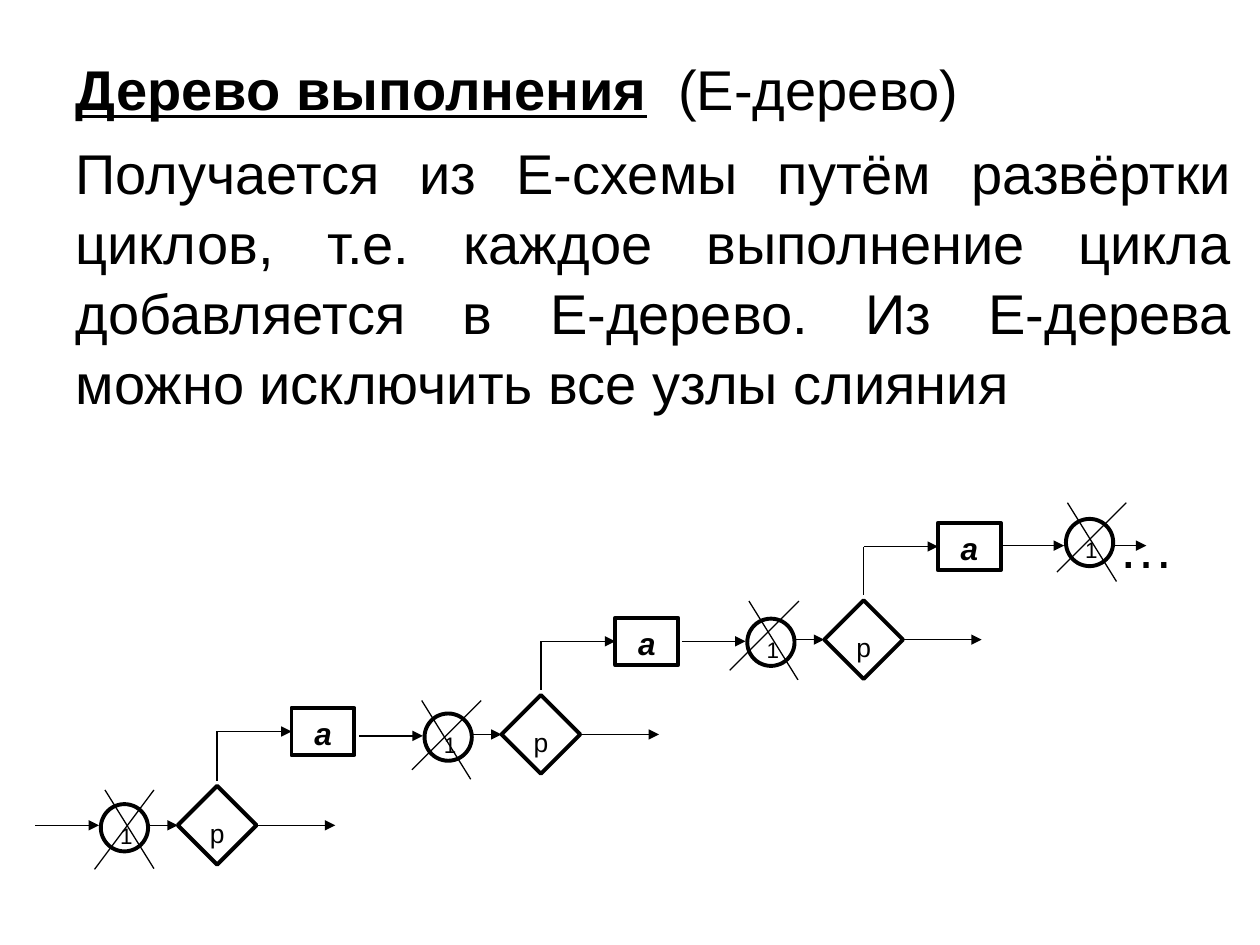
from dataclasses import dataclass

from lxml import etree
from pptx import Presentation
from pptx.dml.color import RGBColor
from pptx.enum import shapes, text
from pptx.oxml.ns import qn
from pptx.util import Pt

BLACK = RGBColor(0, 0, 0)
WHITE = RGBColor(255, 255, 255)
FONT = "Arial"

CIRCLE = 27
DIAMOND = 45
BOX_WIDTH, BOX_HEIGHT = 36, 27
DIAMOND_OFFSET = 44
BOX_OFFSET = 109


@dataclass
class NodeStyle:
    preset: shapes.MSO_SHAPE
    width: float
    height: float
    label: str
    size: float
    raised: bool = True
    emphasis: bool = False


@dataclass
class Merge:
    """A crossed-out merge node; the cross is given by its two strokes."""
    left: float
    axis: float
    middle: float
    cross_top: float
    falling_left: float
    rising_left: float
    rising_width: float = 39.6
    rising_height: float = 39.6


@dataclass
class Branch:
    """A condition with its exit and the action above it."""
    middle: float
    action_middle: float


MERGE_NODE = NodeStyle(shapes.MSO_SHAPE.FLOWCHART_CONNECTOR, CIRCLE, CIRCLE, "1", 22)
CONDITION_NODE = NodeStyle(shapes.MSO_SHAPE.FLOWCHART_DECISION, DIAMOND, DIAMOND, "p", 26)
ACTION_NODE = NodeStyle(shapes.MSO_SHAPE.RECTANGLE, BOX_WIDTH, BOX_HEIGHT, "а", 18,
                        raised=False, emphasis=True)

MERGES = [
    Merge(57.6, 471.6, 473, 451.4, 60, 54, 34, 45.4),
    Merge(242.6, 420.5, 421.2, 400.3, 241, 235.4),
    Merge(427, 366.5, 367, 343.5, 428, 417),
    Merge(609.1, 311.8, 310, 287.3, 610, 604),
]
BRANCHES = [Branch(471.6, 418), Branch(419.7, 366.5), Branch(365.5, 312.3)]


def add_node(page, style: NodeStyle, left: float, middle: float):
    node = page.shapes.add_shape(style.preset, Pt(left), Pt(middle - style.height / 2),
                                 Pt(style.width), Pt(style.height))
    node.shadow.inherit = False
    node.fill.solid()
    node.fill.fore_color.rgb = WHITE
    node.line.color.rgb = BLACK
    node.line.width = Pt(2.25)
    node.text_frame.vertical_anchor = text.MSO_ANCHOR.TOP
    para = node.text_frame.paragraphs[0]
    para.text = style.label
    para.alignment = text.PP_ALIGN.CENTER
    set_font(para, style.size)
    para.font.bold = para.font.italic = style.emphasis
    if style.raised:
        para._p.pPr.find(qn("a:defRPr")).set("baseline", "30000")
    return node


def add_line(page, x1: float, y1: float, x2: float, y2: float, arrow: bool = False):
    line = page.shapes.add_connector(shapes.MSO_CONNECTOR.STRAIGHT,
                                     Pt(x1), Pt(y1), Pt(x2), Pt(y2))
    line.line.color.rgb = BLACK
    line.line.width = Pt(0.75)
    if arrow:
        etree.SubElement(line.line._get_or_add_ln(), qn("a:tailEnd"), type="triangle")
    etree.SubElement(line._element.spPr, qn("a:effectLst"))
    return line


def add_merge(page, merge: Merge) -> None:
    add_line(page, merge.left - 37.4, merge.axis, merge.left - 1, merge.axis, arrow=True)
    add_node(page, MERGE_NODE, merge.left, merge.middle)
    add_line(page, merge.falling_left, merge.cross_top,
             merge.falling_left + 28, merge.cross_top + 45)
    add_line(page, merge.rising_left, merge.cross_top + merge.rising_height,
             merge.rising_left + merge.rising_width, merge.cross_top)


def add_branch(page, merge: Merge, branch: Branch) -> None:
    left = merge.left + DIAMOND_OFFSET
    center = left + DIAMOND / 2
    right = left + DIAMOND
    condition = add_node(page, CONDITION_NODE, left, branch.middle)
    action = add_node(page, ACTION_NODE, merge.left + BOX_OFFSET, branch.action_middle)
    entry = add_line(page, merge.left + CIRCLE, branch.middle, left, branch.middle, arrow=True)
    entry.end_connect(condition, 1)
    leaving = add_line(page, right, branch.middle, right + 45, branch.middle, arrow=True)
    leaving.begin_connect(condition, 3)
    add_line(page, center, branch.middle - DIAMOND / 2 - 3, center, branch.action_middle)
    turn = add_line(page, center, branch.action_middle,
                    merge.left + BOX_OFFSET, branch.action_middle, arrow=True)
    turn.end_connect(action, 1)


def set_font(para, size: float) -> None:
    para.font.name = FONT
    para.font.size = Pt(size)
    para.font.color.rgb = BLACK


def format_body_paragraph(para, space_before: float = 0, indent: float = 0) -> None:
    properties = para._p.get_or_add_pPr()
    properties.set("marL", str(Pt(indent)))
    properties.set("indent", "0")
    etree.SubElement(properties, qn("a:buNone"))
    para.space_before = Pt(space_before)
    para.line_spacing = 1.04
    set_font(para, 32)


def fill_body(body) -> None:
    body.left, body.top, body.width, body.height = Pt(36), Pt(26), Pt(675.4), Pt(476)
    frame = body.text_frame
    frame.word_wrap = True
    frame.auto_size = text.MSO_AUTO_SIZE.NONE

    heading = frame.paragraphs[0]
    format_body_paragraph(heading)
    term = heading.add_run()
    term.text = "Дерево выполнения"
    term.font.bold = term.font.underline = True
    heading.add_run().text = "  (Е-дерево)"

    definition = frame.add_paragraph()
    definition.text = ("Получается из Е-схемы путём развёртки циклов, т.е. каждое "
                       "выполнение цикла добавляется в Е-дерево. Из Е-дерева можно "
                       "исключить все узлы слияния")
    format_body_paragraph(definition, space_before=8)
    definition.alignment = text.PP_ALIGN.JUSTIFY

    continuation = frame.add_paragraph()
    continuation.text = "…"
    format_body_paragraph(continuation, space_before=54, indent=596)


def main() -> None:
    deck = Presentation()
    deck.slide_width, deck.slide_height = Pt(720), Pt(540)
    page = deck.slides.add_slide(deck.slide_layouts[1])
    title = page.shapes.title
    title._element.getparent().remove(title._element)
    fill_body(page.placeholders[1])

    for merge in MERGES:
        add_merge(page, merge)
    for merge, branch in zip(MERGES, BRANCHES):
        add_branch(page, merge, branch)
    last = MERGES[-1]
    add_line(page, last.left + 28, last.axis, last.left + 46, last.axis, arrow=True)
    deck.save("out.pptx")


if __name__ == "__main__":
    main()
